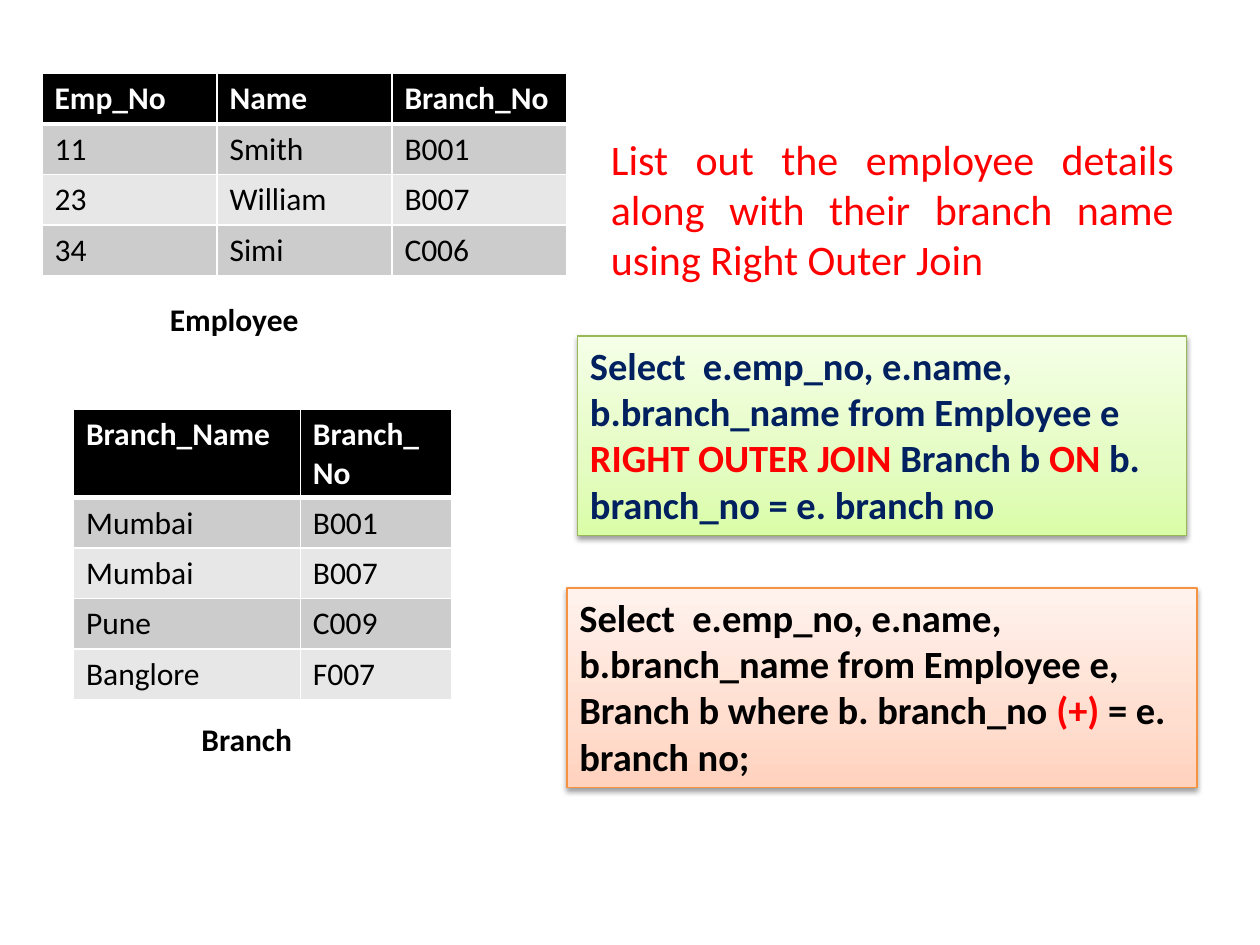
from copy import deepcopy
from dataclasses import dataclass

from lxml.etree import SubElement
from pptx import Presentation
from pptx.dml.color import RGBColor as Rgb
from pptx.enum.shapes import MSO_SHAPE as Shape
from pptx.enum.text import MSO_ANCHOR as Anchor, PP_ALIGN as Align
from pptx.oxml.ns import qn
from pptx.util import Pt


@dataclass(frozen=True)
class Theme:
    """Colours, font and type sizes of the slide."""
    font: str = "Calibri"
    black: str = "000000"
    white: str = "FFFFFF"
    red: str = "FF0000"
    navy: str = "002060"
    bands: tuple = ("CCCCCC", "E7E7E7")
    green: tuple = ("DAFDA7", "E4FCC2", "F5FFE7")
    green_line: str = "98B955"
    orange: tuple = ("FFD2BD", "FFDED0", "FFF2ED")
    orange_line: str = "F69240"
    body: int = 18
    query: int = 22
    task: int = 24


THEME = Theme()
ROW_HEIGHT = 28.8


def style(para, size, color, bold=False):
    """Set the font of a whole paragraph."""
    font = para.font
    font.name, font.size, font.bold = THEME.font, Pt(size), bold
    font.color.rgb = Rgb.from_string(color)


def add_border(cell, side, width):
    """Draw one white border of a table cell."""
    line = SubElement(cell._tc.get_or_add_tcPr(), qn(f"a:{side}"), w=str(Pt(width)))
    fill = SubElement(line, qn("a:solidFill"))
    SubElement(fill, qn("a:srgbClr"), val=THEME.white)


def fill_cell(cell, text, row):
    """Write, fill and border one cell according to its row."""
    header = row == 0
    for side in ("lnL", "lnR", "lnT", "lnB"):
        thick = (header and side == "lnB") or (row == 1 and side == "lnT")
        add_border(cell, side, 3 if thick else 1)
    cell.fill.solid()
    shade = THEME.black if header else THEME.bands[(row - 1) % 2]
    cell.fill.fore_color.rgb = Rgb.from_string(shade)
    cell.text = text
    style(cell.text_frame.paragraphs[0], THEME.body,
          THEME.white if header else THEME.black, header)


def add_data_table(page, box, widths, rows):
    """Place a banded table whose header takes the height left over."""
    frame = page.shapes.add_table(len(rows), len(widths), *map(Pt, box))
    table = frame.table
    for column, width in zip(table.columns, widths):
        column.width = Pt(width)
    header_height = box[3] - ROW_HEIGHT * (len(rows) - 1)
    for index, values in enumerate(rows):
        table.rows[index].height = Pt(ROW_HEIGHT if index else header_height)
        for column, value in enumerate(values):
            fill_cell(table.cell(index, column), value, index)


def add_text(page, box, text, size, color, bold=False, align=Align.LEFT, anchor=Anchor.TOP):
    """Place a wrapped text box."""
    frame = page.shapes.add_textbox(*map(Pt, box)).text_frame
    frame.word_wrap = True
    frame.vertical_anchor = anchor
    para = frame.paragraphs[0]
    para.text, para.alignment = text, align
    style(para, size, color, bold)


def add_soft_shadow(shape):
    """Give a shape a faint shadow below it."""
    shape.shadow.inherit = False
    effects = shape._element.spPr.find(qn("a:effectLst"))
    shadow = SubElement(effects, qn("a:outerShdw"), blurRad=str(Pt(3.1)),
                        dist=str(Pt(1.6)), dir="5400000", rotWithShape="0")
    color = SubElement(shadow, qn("a:srgbClr"), val=THEME.black)
    SubElement(color, qn("a:alpha"), val="38000")


def add_query(page, box, spans, color, shades, line_color):
    """Place a gradient panel holding a query with coloured spans."""
    panel = page.shapes.add_shape(Shape.RECTANGLE, *map(Pt, box))
    panel.fill.gradient()
    panel.fill.gradient_angle = 90
    stops = panel._element.spPr.find(".//" + qn("a:gsLst"))
    stops.append(deepcopy(stops[0]))
    for stop, place, shade in zip(panel.fill.gradient_stops, (0, 0.35, 1), shades):
        stop.position = place
        stop.color.rgb = Rgb.from_string(shade)
    panel.line.color.rgb = Rgb.from_string(line_color)
    panel.line.width = Pt(0.75)
    add_soft_shadow(panel)
    frame = panel.text_frame
    frame.word_wrap = True
    frame.vertical_anchor = Anchor.TOP
    para = frame.paragraphs[0]
    para.alignment = Align.LEFT
    style(para, THEME.query, color, True)
    for text, span_color in spans:
        span = para.add_run()
        span.text = text
        span.font.color.rgb = Rgb.from_string(span_color)


def build_join_slide(page):
    """Place the task, both tables with captions and both queries."""
    add_text(page, (342, 42, 336, 124),
             "List out the employee details along with their branch name using Right Outer Join",
             THEME.task, THEME.red, align=Align.JUSTIFY, anchor=Anchor.BOTTOM)
    add_data_table(page, (24, 42, 300, 115.2), (100, 100, 100), (
        ("Emp_No", "Name", "Branch_No"),
        ("11", "Smith", "B001"),
        ("23", "William", "B007"),
        ("34", "Simi", "C006"),
    ))
    add_data_table(page, (42, 234, 216, 165.6), (129.6, 86.4), (
        ("Branch_Name", "Branch_No"),
        ("Mumbai", "B001"),
        ("Mumbai", "B007"),
        ("Pune", "C009"),
        ("Banglore", "F007"),
    ))
    for caption, left, top in (("Employee", 90, 168), ("Branch", 108, 408)):
        add_text(page, (left, top, 132, 29), caption, THEME.body, THEME.black, True)
    add_query(page, (330, 192, 348, 114), (
        ("Select  e.emp_no, e.name, b.branch_name from Employee e ", THEME.navy),
        ("RIGHT OUTER JOIN ", THEME.red),
        ("Branch b ", THEME.navy),
        ("ON", THEME.red),
        (" b. branch_no = e. branch no", THEME.navy),
    ), THEME.navy, THEME.green, THEME.green_line)
    add_query(page, (324, 336, 360, 114), (
        ("Select  e.emp_no, e.name, b.branch_name from Employee e, "
         "Branch b where b. branch_no ", THEME.black),
        ("(+)", THEME.red),
        (" = e. branch no;", THEME.black),
    ), THEME.black, THEME.orange, THEME.orange_line)


def main():
    """Build and save the deck."""
    deck = Presentation()
    deck.slide_width, deck.slide_height = Pt(720), Pt(540)
    build_join_slide(deck.slides.add_slide(deck.slide_layouts[6]))
    deck.save("out.pptx")


if __name__ == "__main__":
    main()
